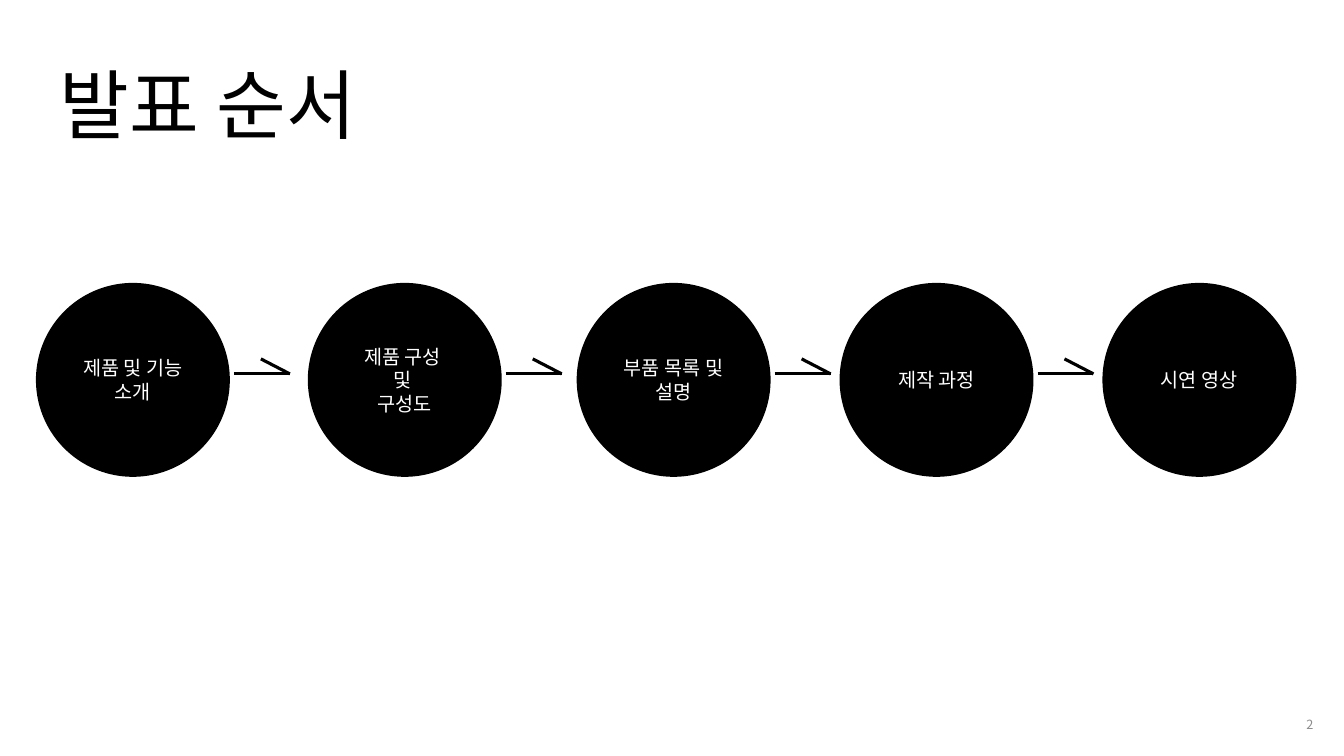
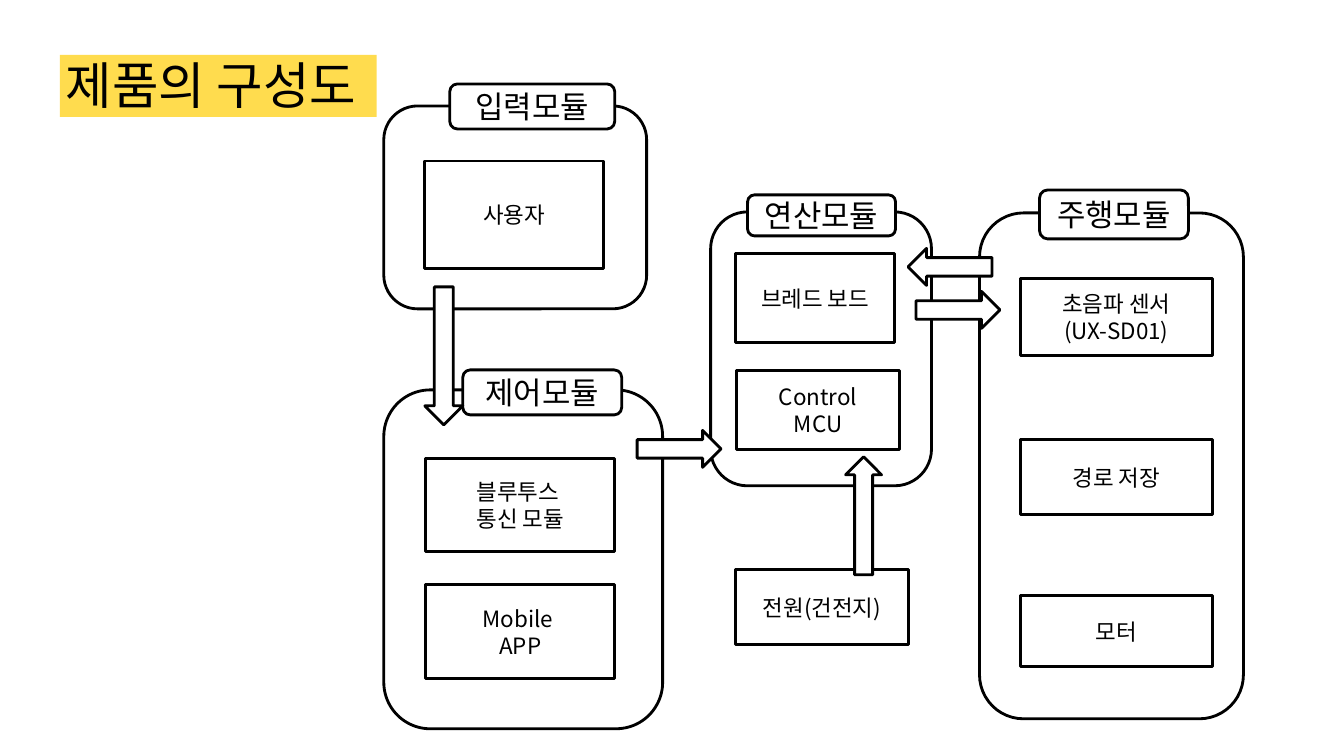
import lxml.etree
import pptx
import pptx.dml.color
import pptx.enum.shapes
import pptx.enum.text
import pptx.oxml.ns
import pptx.util

RGB = pptx.dml.color.RGBColor
BLACK = RGB(0, 0, 0)
WHITE = RGB(255, 255, 255)
GREY = RGB(0x8C, 0x8C, 0x8C)
YELLOW = RGB(0xFF, 0xDC, 0x4E)

FONT = "Noto Sans CJK KR"
SCALE = 914400 / 101.1
KIND = pptx.enum.shapes.MSO_SHAPE
ALIGN = pptx.enum.text.PP_ALIGN
ANCHOR = pptx.enum.text.MSO_ANCHOR
qn = pptx.oxml.ns.qn

FRAME = {"word_wrap": True, "auto_size": pptx.enum.text.MSO_AUTO_SIZE.NONE,
         "margin_top": 0, "margin_bottom": 0}
PAGE = {"slide_width": pptx.util.Inches(13.3),
        "slide_height": pptx.util.Inches(7.48)}


def px(num):
    """Turn pixels into EMU."""
    return pptx.util.Emu(round(num * SCALE))


def apply(item, form):
    """Set each attribute named in form."""
    for key, val in form.items():
        setattr(item, key, val)


def place(box):
    """Give a box in EMU."""
    return [px(num) for num in box]


def write(shape, text, size, color, align=ALIGN.CENTER, anchor=ANCHOR.MIDDLE,
          side=10):
    """Fill a shape with formatted lines of text."""
    frame = shape.text_frame
    frame.text = text
    apply(frame, FRAME | {"vertical_anchor": anchor, "margin_left": px(side),
                          "margin_right": px(side)})
    for para in frame.paragraphs:
        apply(para, {"alignment": align, "line_spacing": 1.0})
        for run in para.runs:
            apply(run.font, {"name": FONT, "size": pptx.util.Pt(size)})
            run.font.color.rgb = color
    for prop in shape.element.iter(qn("a:rPr")):
        lxml.etree.SubElement(prop, qn("a:ea")).set("typeface", FONT)


def draw(slide, kind, box, fill=WHITE, line=BLACK, turn=0):
    """Add a flat preset shape."""
    shape = slide.shapes.add_shape(kind, *place(box))
    apply(shape, {"rotation": turn})
    apply(shape.shadow, {"inherit": False})
    shape.fill.solid()
    shape.fill.fore_color.rgb = fill
    if line is None:
        shape.line.fill.background()
    else:
        shape.line.color.rgb = line
        shape.line.width = pptx.util.Pt(2)
    return shape


def label(slide, kind, box, text, size):
    """Add an outlined shape with black text."""
    write(draw(slide, kind, box), text, size, BLACK)


def head(slide, box, text, size):
    """Place the slide title."""
    title = slide.shapes.title
    names = ("left", "top", "width", "height")
    apply(title, dict(zip(names, place(box))))
    write(title, text, size, BLACK, ALIGN.LEFT, ANCHOR.TOP, 0)


def stroke(slide, *ends):
    """Add a plain black line."""
    line = slide.shapes.add_connector(
        pptx.enum.shapes.MSO_CONNECTOR.STRAIGHT, *place(ends))
    line.line.color.rgb = BLACK
    line.line.width = pptx.util.Pt(2.25)
    prop = line.element.find(qn("p:spPr"))
    lxml.etree.SubElement(prop, qn("a:effectLst"))


def hook(slide, left, top, wide, high):
    """Draw an arrow with half a head in a box."""
    right, base = left + wide, top + high
    stroke(slide, left, base, right, base)
    stroke(slide, left + wide // 2 - 1, top, right, base)


def agenda(slide):
    """Build the slide of ordered topics."""
    head(slide, (60, 58, 780, 92), "발표 순서", 54)
    steps = ((36, "제품 및 기능\n소개"), (308, "제품 구성 \n및 \n구성도"),
             (577, "부품 목록 및 설명"), (840, "제작 과정"), (1103, "시연 영상"))
    top, size = 283, 194
    for left, text in steps:
        disc = draw(slide, KIND.OVAL, (left, top, size, size), BLACK, None)
        write(disc, text, 14, WHITE)
    for left, text in steps[:-1]:
        hook(slide, left + size + 4, top + 76, 56, 15)
    note = slide.shapes.add_textbox(*place((1013, 705, 313, 40)))
    write(note, "2", 9, GREY, ALIGN.RIGHT, side=12)


def group(slide, box, tab, name, parts):
    """Draw a named panel with its parts set from its corner."""
    left, top = box[:2]
    draw(slide, KIND.ROUNDED_RECTANGLE, box)
    for x, y, wide, high, text in parts:
        label(slide, KIND.RECTANGLE, (left + x, top + y, wide, high), text, 16)
    x, y, wide, high = tab
    label(slide, KIND.ROUNDED_RECTANGLE, (left + x, top + y, wide, high),
          name, 22)


def scheme(slide):
    """Build the slide of linked units."""
    band = draw(slide, KIND.RECTANGLE, (60, 55, 317, 62), YELLOW, None)
    tree = band.element.getparent()
    tree.insert(2, band.element)
    head(slide, (66, 54, 300, 63), "제품의 구성도", 36)
    group(slide, (980, 213, 264, 506), (60, -23, 149, 49), "주행모듈",
          ((41, 66, 192, 77, "초음파 센서\n(UX-SD01)"),
           (41, 383, 192, 71, "모터"), (41, 227, 192, 75, "경로 저장")))
    group(slide, (384, 390, 279, 339), (79, -20, 159, 45), "제어모듈",
          ((42, 195, 189, 94, "Mobile \nAPP"),
           (42, 69, 189, 93, "블루투스 \n통신 모듈")))
    label(slide, KIND.RECTANGLE, (736, 570, 173, 75), "전원(건전지)", 16)
    group(slide, (384, 106, 263, 203), (66, -22, 165, 45), "입력모듈",
          ((41, 55, 179, 108, "사용자"),))
    group(slide, (711, 212, 221, 274), (37, -17, 148, 41), "연산모듈",
          ((26, 159, 163, 79, "Control\nMCU"),
           (25, 42, 159, 89, "브레드 보드")))
    for turn, *box in ((180, 846, 457, 36, 118), (270, 661, 407, 37, 84),
                       (270, 940, 268, 37, 84), (90, 932, 225, 37, 84),
                       (0, 425, 287, 38, 138)):
        draw(slide, KIND.DOWN_ARROW, box, turn=turn)


def main():
    """Make and save the deck."""
    deck = pptx.Presentation()
    apply(deck, PAGE)
    for build in (agenda, scheme):
        build(deck.slides.add_slide(deck.slide_layouts[5]))
    deck.save("out.pptx")


if __name__ == "__main__":
    main()
